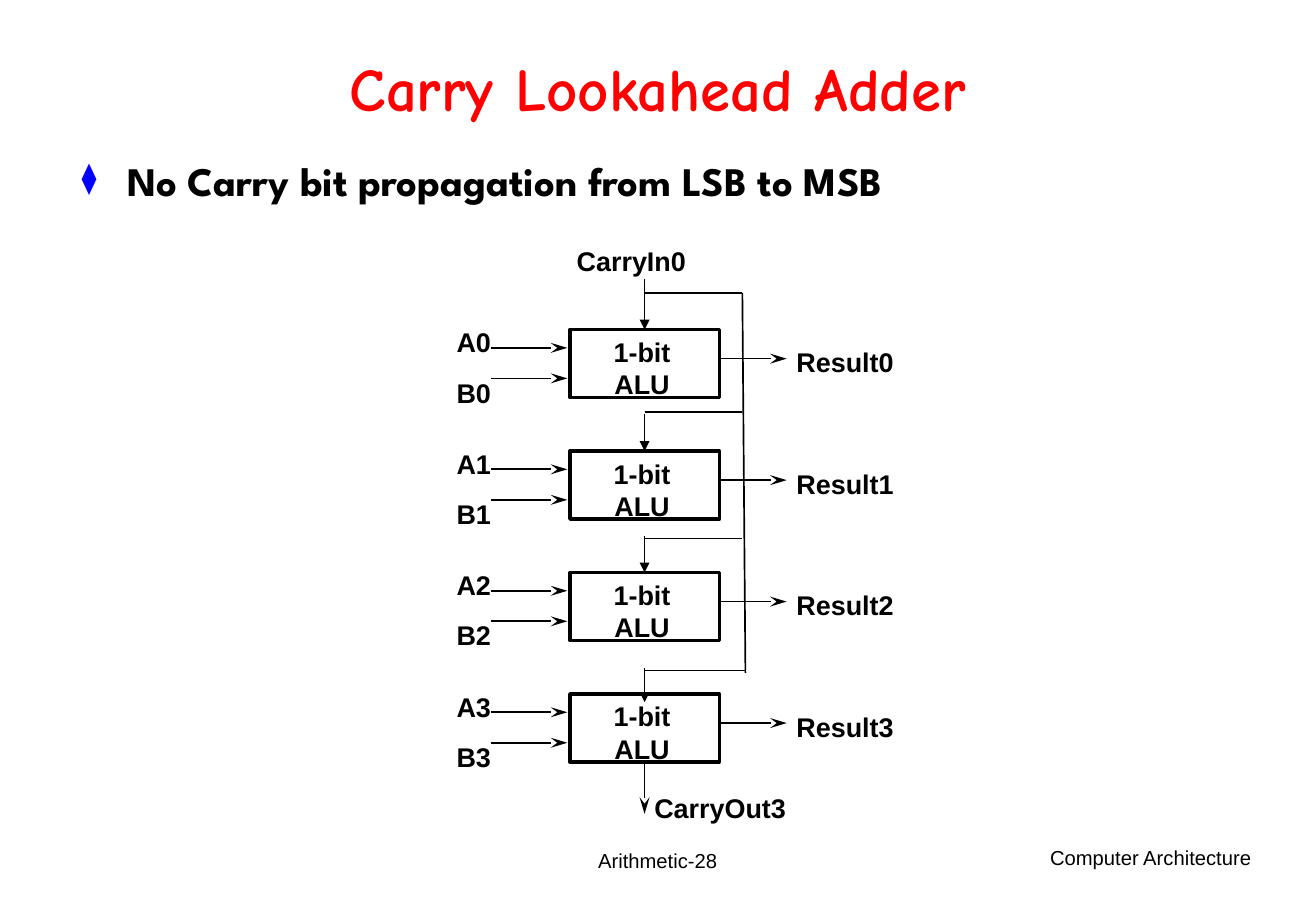
from lxml import etree
from pptx import Presentation
from pptx.dml.color import RGBColor
from pptx.enum.shapes import MSO_CONNECTOR, MSO_SHAPE
from pptx.enum.text import MSO_ANCHOR, MSO_AUTO_SIZE, PP_ALIGN
from pptx.oxml.ns import qn
from pptx.util import Pt

LEFT, CENTER, RIGHT = PP_ALIGN.LEFT, PP_ALIGN.CENTER, PP_ALIGN.RIGHT
TOP, MIDDLE = MSO_ANCHOR.TOP, MSO_ANCHOR.MIDDLE
NO_FIT, GROW = MSO_AUTO_SIZE.NONE, MSO_AUTO_SIZE.SHAPE_TO_FIT_TEXT
STRAIGHT, RECTANGLE = MSO_CONNECTOR.STRAIGHT, MSO_SHAPE.RECTANGLE
BLACK, RED, BLUE = "000000", "FF0000", "0000FF"
HEAD_LENGTHS = {"stealth": "lg", "triangle": "med"}
ROW_STEP = 72
ALU_TOP = 195.4
CARRY_X = 382.3
BUS_X = 440.3


def color(value):
    """Turn a hex string into a colour."""
    return RGBColor.from_string(value)


def format_text(tf, size, bold=True, align=LEFT, font="Arial", fill=BLACK):
    """Format every paragraph of a text frame alike."""
    for p in tf.paragraphs:
        p.alignment = align
        for r in p.runs:
            r.font.name = font
            r.font.size = Pt(size)
            r.font.bold = bold
            r.font.color.rgb = color(fill)


def place(sp, x, y, w, h):
    """Move and size a shape."""
    sp.left, sp.top, sp.width, sp.height = Pt(x), Pt(y), Pt(w), Pt(h)


def add_title(s, text):
    """Fill and format the title placeholder."""
    sp = s.shapes.title
    place(sp, 58.5, 19.4, 663.1, 71.3)
    tf = sp.text_frame
    tf.text = text
    tf.vertical_anchor = MIDDLE
    tf.auto_size = NO_FIT
    tf.paragraphs[0].line_spacing = 0.85
    format_text(tf, 36, align=CENTER, font="Comic Neue", fill=RED)


def add_bullet(s, text):
    """Add the bulleted statement below the title."""
    tf = s.shapes.add_textbox(Pt(41.3), Pt(92.4), Pt(663.1), Pt(400.3)).text_frame
    tf.text = text
    tf.word_wrap = True
    p = tf.paragraphs[0]
    pPr = p._p.get_or_add_pPr()
    pPr.set("marL", str(Pt(27)))
    pPr.set("indent", str(-Pt(27)))
    bullet_color = etree.SubElement(pPr, qn("a:buClr"))
    etree.SubElement(bullet_color, qn("a:srgbClr"), val=BLUE)
    etree.SubElement(pPr, qn("a:buSzPct"), val="75000")
    etree.SubElement(pPr, qn("a:buChar"), char="⧫")
    p.line_spacing = 0.9
    format_text(tf, 24, font="League Spartan")


def add_label(s, text, x, y, w, h=26.6, size=16, bold=True, align=LEFT, anchor=TOP, fit=GROW):
    """Add an unwrapped label."""
    tf = s.shapes.add_textbox(Pt(x), Pt(y), Pt(w), Pt(h)).text_frame
    tf.text = text
    tf.word_wrap = False
    tf.auto_size = fit
    tf.vertical_anchor = anchor
    format_text(tf, size, bold, align)


def add_line(s, x1, y1, x2, y2, head=None):
    """Add a thin black line, with an arrowhead at its end if one is named."""
    line = s.shapes.add_connector(STRAIGHT, Pt(x1), Pt(y1), Pt(x2), Pt(y2))
    line.line.color.rgb = color(BLACK)
    line.line.width = Pt(1)
    if head:
        ln = line.line._get_or_add_ln()
        etree.SubElement(ln, qn("a:tailEnd"), type=head, w="med", len=HEAD_LENGTHS[head])
    etree.SubElement(line._element.spPr, qn("a:effectLst"))
    return line


def add_alu(s, y):
    """Add one ALU box."""
    sp = s.shapes.add_shape(RECTANGLE, Pt(338), Pt(y), Pt(88.6), Pt(40.3))
    sp.shadow.inherit = False
    sp.fill.background()
    sp.line.color.rgb = color(BLACK)
    sp.line.width = Pt(2)
    tf = sp.text_frame
    tf.text = "1-bit\nALU"
    tf.vertical_anchor = TOP
    tf.margin_left, tf.margin_right = Pt(0), Pt(3)
    format_text(tf, 16, align=CENTER)
    return sp


def add_stage(s, i):
    """Add one bit position with its inputs and result, and return its box."""
    y = ALU_TOP + i * ROW_STEP
    alu = add_alu(s, y)
    for name, label_dy, line_dy in (("A", -5.8, 10.8), ("B", 24, 28.9)):
        add_label(s, f"{name}{i}", 263.7, y + label_dy, 35.3)
        add_line(s, 291.1, y + line_dy, 336.5, y + line_dy, "stealth")
    add_line(s, 427.7, y + 17.2, 466.6, y + 17.2, "stealth")
    add_label(s, f"Result{i}", 465.3, y + 6, 72)
    return alu


def add_carries(s, alus):
    """Add the carry bus, its branches and the carry arrows."""
    add_line(s, BUS_X, 173.6, BUS_X + 1.8, 398.9)
    branches = ((173.6, BUS_X), (244.1, BUS_X), (319.2, BUS_X), (397.4, BUS_X + 1.8))
    for y, end in branches:
        add_line(s, CARRY_X, y, end, y)
    for alu, start in zip(alus, (165.6, 245.5, 317.5)):
        arrow = add_line(s, CARRY_X, start, CARRY_X, alu.top.pt, "triangle")
        arrow.end_connect(alu, 0)
    add_line(s, CARRY_X, 396, CARRY_X, 416.2, "triangle")
    carry_out = add_line(s, CARRY_X, 451.7, CARRY_X, 482.4, "stealth")
    carry_out.begin_connect(alus[-1], 2)
    add_label(s, "CarryIn0", 335, 141.4, 79.2)
    add_label(s, "CarryOut3", 381, 465.4, 92.9)


def main():
    """Build the carry lookahead slide."""
    prs = Presentation()
    prs.slide_width, prs.slide_height = Pt(780.48), Pt(540)
    s = prs.slides.add_slide(prs.slide_layouts[5])
    add_title(s, "Carry Lookahead Adder")
    add_bullet(s, "No Carry bit propagation from LSB to MSB")
    add_carries(s, [add_stage(s, i) for i in range(4)])
    add_label(s, "Arithmetic-28", 266.6, 492.1, 247, 36, 12, False, CENTER, MIDDLE, NO_FIT)
    add_label(s, "Computer Architecture", 584.4, 497.8, 164.9, 36, 12, False, RIGHT)
    prs.save("out.pptx")


if __name__ == "__main__":
    main()
